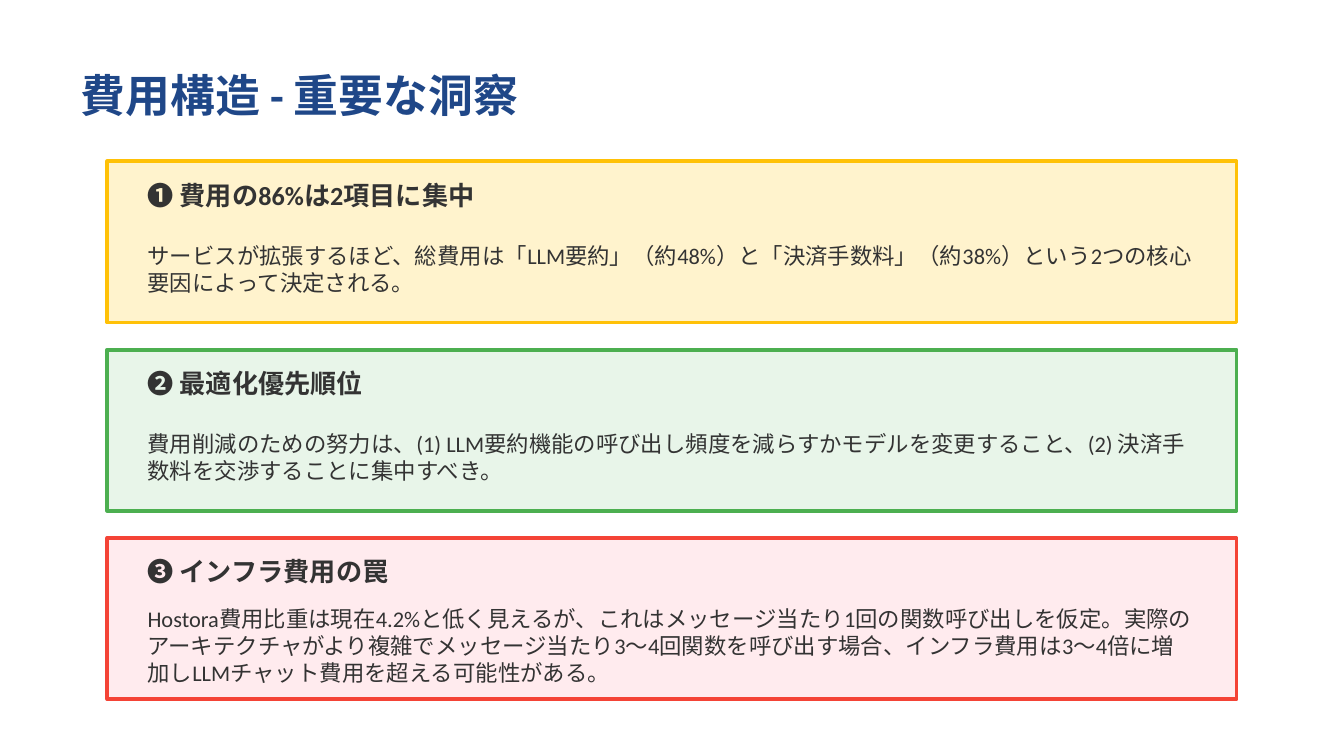
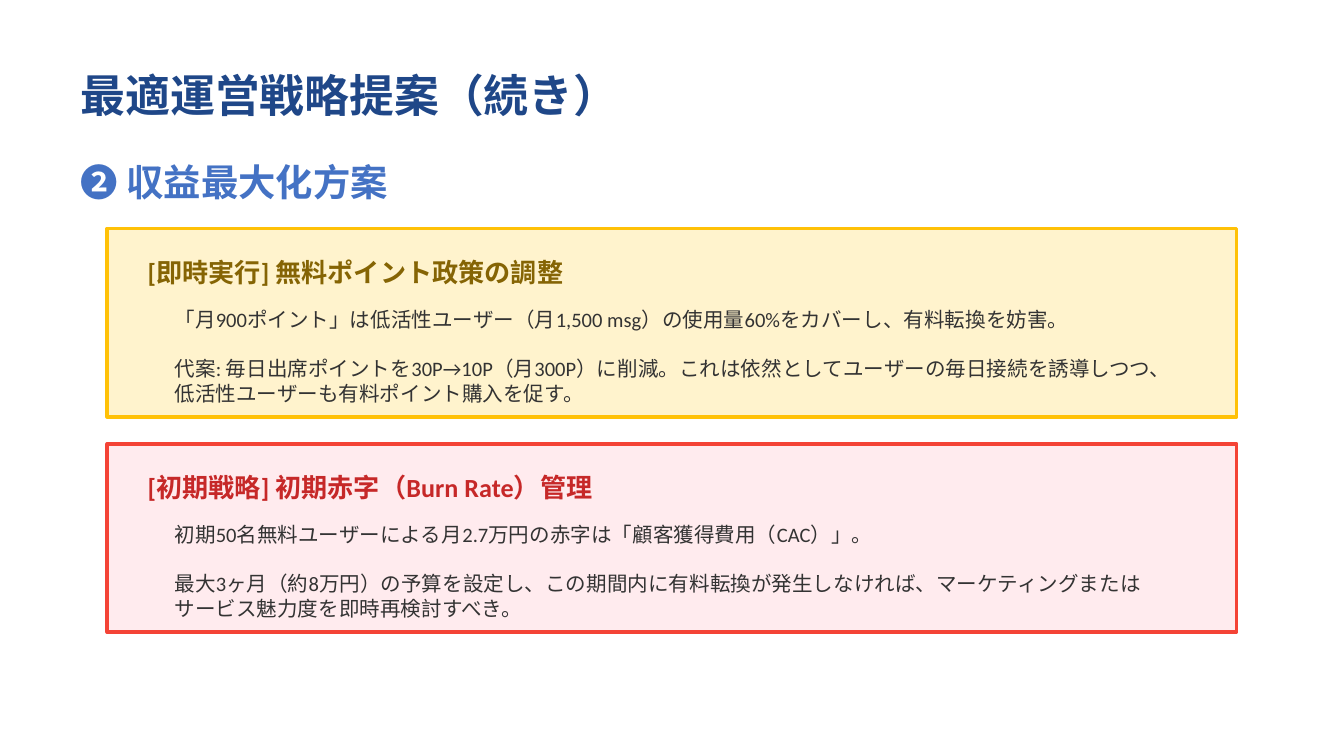
from dataclasses import dataclass

from pptx import Presentation
from pptx.dml.color import RGBColor as Rgb
from pptx.enum.shapes import MSO_SHAPE as Shape
from pptx.enum.text import MSO_ANCHOR as Anchor, MSO_AUTO_SIZE as AutoSize, PP_ALIGN as Align
from pptx.util import Cm, Pt


@dataclass(frozen=True)
class Theme:
    font: str = "Calibri"
    navy: str = "1F4788"
    blue: str = "4472C4"
    ink: str = "333333"
    brown: str = "856404"
    crimson: str = "C62828"
    # Card colours: fill, border
    yellow: tuple = ("FFF3CD", "FFC107")
    green: tuple = ("E8F5E9", "4CAF50")
    red: tuple = ("FFEBEE", "F44336")
    title_size: int = 24
    section_size: int = 20
    heading_size: int = 14
    body_size: int = 12
    detail_size: int = 11
    paragraph_gap: int = 13
    border: int = 2


theme = Theme()


def write(box, lines, size, color, bold=False):
    """Fill a box with left-aligned paragraphs, centred vertically."""
    frame = box.text_frame
    frame.word_wrap = True
    frame.auto_size = AutoSize.NONE
    frame.vertical_anchor = Anchor.MIDDLE
    for index, line in enumerate(lines):
        para = frame.add_paragraph() if index else frame.paragraphs[0]
        para.alignment = Align.LEFT
        para.space_before = Pt(theme.paragraph_gap if index else 0)
        span = para.add_run()
        span.text = line
        span.font.name = theme.font
        span.font.size = Pt(size)
        span.font.bold = bold
        span.font.color.rgb = Rgb.from_string(color)


def add_page(deck, title):
    page = deck.slides.add_slide(deck.slide_layouts[5])
    box = page.shapes.title
    box.left, box.top, box.width, box.height = Cm(1.27), Cm(1.02), Cm(22.86), Cm(1.52)
    write(box, [title], theme.title_size, theme.navy, bold=True)
    return page


deck = Presentation()
deck.slide_width, deck.slide_height = Cm(25.4), Cm(14.29)

card_left, card_width = 2.03, 21.34
heading_left, heading_width = 2.54, 20.32

# Slide 1: three insights
insights = [
    (theme.yellow, "❶ 費用の86%は2項目に集中",
     "サービスが拡張するほど、総費用は「LLM要約」（約48%）と「決済手数料」（約38%）"
     "という2つの核心要因によって決定される。"),
    (theme.green, "❷ 最適化優先順位",
     "費用削減のための努力は、(1) LLM要約機能の呼び出し頻度を減らすかモデルを変更すること、"
     "(2) 決済手数料を交渉することに集中すべき。"),
    (theme.red, "❸ インフラ費用の罠",
     "Hostora費用比重は現在4.2%と低く見えるが、これはメッセージ当たり1回の関数呼び出しを仮定。"
     "実際のアーキテクチャがより複雑でメッセージ当たり3～4回関数を呼び出す場合、"
     "インフラ費用は3～4倍に増加しLLMチャット費用を超える可能性がある。"),
]
insight_cards = [(colors, heading, theme.ink, [body]) for colors, heading, body in insights]
insight_page = add_page(deck, "費用構造 - 重要な洞察")

# Slide 2: two revenue measures
measure_cards = [
    (theme.yellow, "[即時実行] 無料ポイント政策の調整", theme.brown, [
        "「月900ポイント」は低活性ユーザー（月1,500 msg）の使用量60%をカバーし、有料転換を妨害。",
        "代案: 毎日出席ポイントを30P→10P（月300P）に削減。"
        "これは依然としてユーザーの毎日接続を誘導しつつ、低活性ユーザーも有料ポイント購入を促す。"]),
    (theme.red, "[初期戦略] 初期赤字（Burn Rate）管理", theme.crimson, [
        "初期50名無料ユーザーによる月2.7万円の赤字は「顧客獲得費用（CAC）」。",
        "最大3ヶ月（約8万円）の予算を設定し、この期間内に有料転換が発生しなければ、"
        "マーケティングまたはサービス魅力度を即時再検討すべき。"]),
]
measure_page = add_page(deck, "最適運営戦略提案（続き）")
section = measure_page.shapes.add_textbox(Cm(1.27), Cm(2.79), Cm(22.86), Cm(1.27))
write(section, ["❷ 収益最大化方案"], theme.section_size, theme.blue, bold=True)

# Per page: first card top, card height, heading offset and height,
# body left, offset and width, body type size
stacks = [
    (insight_page, insight_cards, 3.05, 3.05, 0.25, 0.76, 2.54, 1.14, 20.32, theme.body_size),
    (measure_page, measure_cards, 4.32, 3.56, 0.38, 0.89, 3.05, 1.52, 19.3, theme.detail_size),
]
card_gap, body_height = 0.51, 1.78

for (page, cards, first_top, card_height, heading_offset, heading_height,
     body_left, body_offset, body_width, body_size) in stacks:
    for row, ((fill, border), heading, heading_color, lines) in enumerate(cards):
        top = first_top + row * (card_height + card_gap)
        card = page.shapes.add_shape(
            Shape.RECTANGLE, Cm(card_left), Cm(top), Cm(card_width), Cm(card_height))
        card.shadow.inherit = False
        card.fill.solid()
        card.fill.fore_color.rgb = Rgb.from_string(fill)
        card.line.color.rgb = Rgb.from_string(border)
        card.line.width = Pt(theme.border)

        heading_box = page.shapes.add_textbox(
            Cm(heading_left), Cm(top + heading_offset), Cm(heading_width), Cm(heading_height))
        write(heading_box, [heading], theme.heading_size, heading_color, bold=True)

        body_box = page.shapes.add_textbox(
            Cm(body_left), Cm(top + body_offset), Cm(body_width), Cm(body_height))
        write(body_box, lines, body_size, theme.ink)

deck.save("out.pptx")
